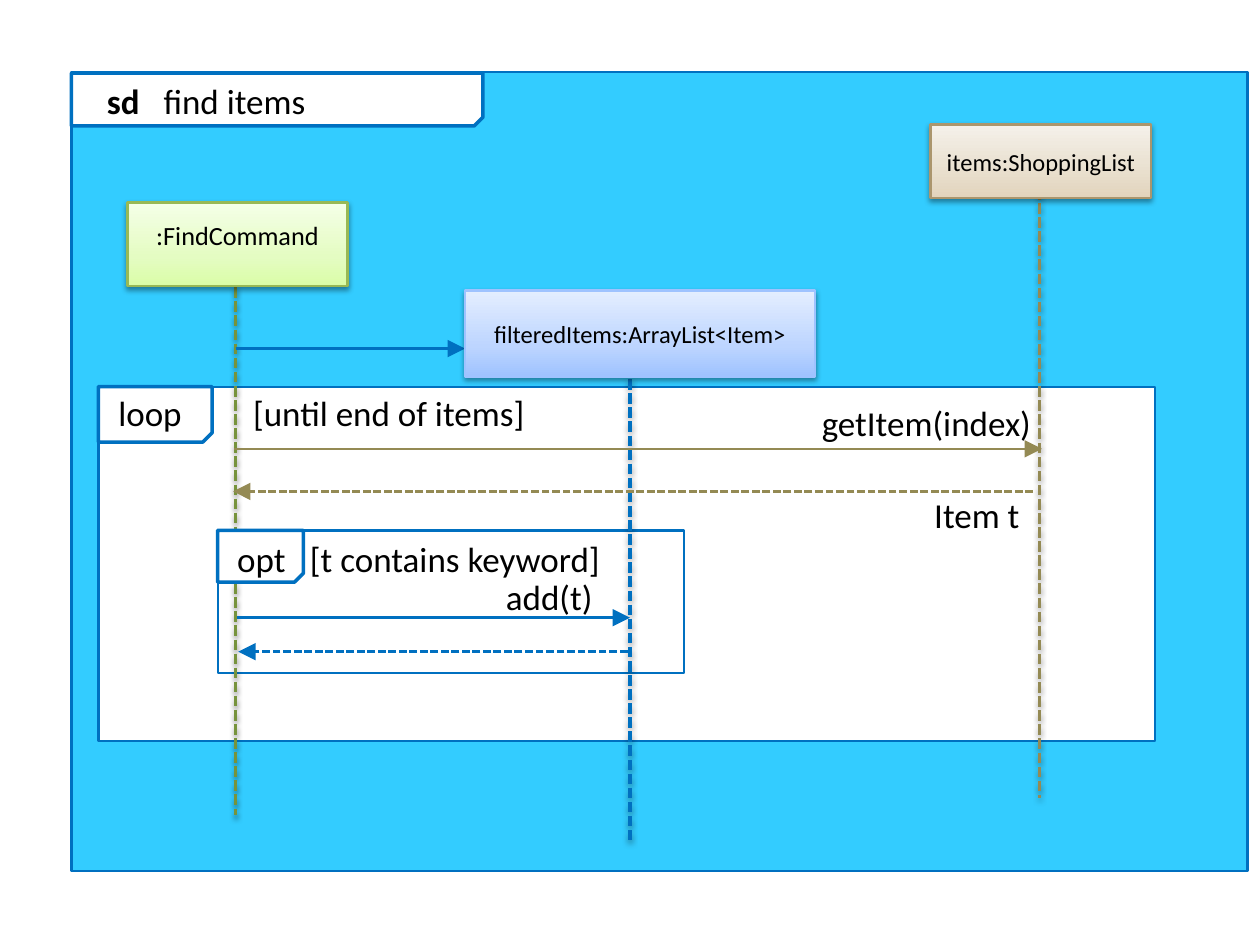
from lxml import etree
from pptx import Presentation
from pptx import util as u
from pptx.dml import color
from pptx.enum import dml, shapes, text
from pptx.oxml import ns

Pt = u.Pt
BLUE, TAN, OLIVE = "0070C0", "948A54", "77933C"
RECT, TAB = shapes.MSO_SHAPE.RECTANGLE, shapes.MSO_SHAPE.SNIP_1_RECTANGLE


def rgb(h):
    return color.RGBColor.from_string(h)


def add_shadow(fx):
    shd = etree.SubElement(fx, ns.qn("a:outerShdw"), blurRad="40000", dist="20000",
                           dir="5400000", rotWithShape="0")
    clr = etree.SubElement(shd, ns.qn("a:srgbClr"), val="000000")
    etree.SubElement(clr, ns.qn("a:alpha"), val="38000")


prs = Presentation()
prs.slide_width, prs.slide_height = Pt(720), Pt(540)
s = prs.slides.add_slide(prs.slide_layouts[6])

frames = [
    (RECT, 41, 41.2, 671.8, 456.5, "33CCFF"),
    (RECT, 56.2, 221.2, 603.8, 202.3, "FFFFFF"),
    (RECT, 124.6, 303.2, 266.2, 81.4, "FFFFFF"),
    (TAB, 40.8, 41.8, 235.2, 30.2, "FFFFFF"),
    (TAB, 56.2, 221, 65, 31.7, "FFFFFF"),
    (TAB, 124.3, 303.1, 49, 29.5, "FFFFFF"),
]
for kind, x, y, w, h, fill in frames:
    sp = s.shapes.add_shape(kind, Pt(x), Pt(y), Pt(w), Pt(h))
    sp.shadow.inherit = False
    sp.fill.solid()
    sp.fill.fore_color.rgb = rgb(fill)
    sp.line.color.rgb = rgb(BLUE)
    sp.line.width = Pt(2 if kind == TAB else 1.5)
    if kind == TAB:
        sp._element.spPr.xfrm.set("flipV", "1")
opt_tab = sp

lines = [
    (134.6, 164.2, 134.6, 465.8, OLIVE, True),
    (360, 216.7, 360, 480.2, BLUE, True),
    (594, 108, 594, 455.8, TAN, True),
    (134.6, 199.2, 265.7, 199.2, BLUE, False),
    (134, 256.5, 595.4, 256.5, TAN, False),
    (590.4, 280.8, 133.2, 280.8, TAN, True),
    (135.4, 353, 360, 353, BLUE, False),
    (358.6, 372.4, 136.1, 372.4, BLUE, True),
]
for x1, y1, x2, y2, c, dashed in lines:
    cn = s.shapes.add_connector(shapes.MSO_CONNECTOR.STRAIGHT, Pt(x1), Pt(y1), Pt(x2), Pt(y2))
    lifeline = x1 == x2
    cn.line.color.rgb = rgb(c)
    cn.line.width = Pt(2 if lifeline else 1.5)
    if dashed:
        cn.line.dash_style = dml.MSO_LINE.SQUARE_DOT
    pr = cn._element.spPr
    fx = etree.SubElement(pr, ns.qn("a:effectLst"))
    if lifeline:
        add_shadow(fx)
    else:
        etree.SubElement(pr.find(ns.qn("a:ln")), ns.qn("a:tailEnd"),
                         type="triangle", w="lg", len="lg")
cn._element.addnext(opt_tab._element)

participants = [
    (":FindCommand", 72.7, 115.9, 126, 47.5, 15, "98B955",
     [(0, "DAFDA7"), (35, "E4FCC2"), (100, "F5FFE7")]),
    ("items:ShoppingList", 531.9, 71.3, 125.8, 41.8, 14, "AB966D",
     [(0, "E2D4BC"), (50, "EBE3D4"), (100, "F5F1EA")]),
    ("filteredItems:ArrayList<Item>", 265.7, 166.1, 200, 49, 14, "9FC3FF",
     [(0, "9FC3FF"), (35, "BDD5FF"), (100, "E4EEFF")]),
]
for label, x, y, w, h, size, edge, stops in participants:
    sp = s.shapes.add_shape(RECT, Pt(x), Pt(y), Pt(w), Pt(h))
    sp.fill.gradient()
    sp.fill.gradient_angle = 90
    gs_lst = sp._element.spPr.find(".//" + ns.qn("a:gsLst"))
    gs_lst.clear()
    for pos, c in stops:
        gs = etree.SubElement(gs_lst, ns.qn("a:gs"), pos=str(pos * 1000))
        etree.SubElement(gs, ns.qn("a:srgbClr"), val=c)
    sp.line.color.rgb = rgb(edge)
    sp.line.width = Pt(1.5)
    sp.shadow.inherit = False
    add_shadow(sp._element.spPr.find(ns.qn("a:effectLst")))
    tf = sp.text_frame
    tf.text = label
    tf.word_wrap = True
    tf.vertical_anchor = text.MSO_ANCHOR.MIDDLE
    if label == ":FindCommand":
        tf.margin_bottom = Pt(14.2)
    p = tf.paragraphs[0]
    p.alignment = text.PP_ALIGN.CENTER
    f = p.runs[0].font
    f.name, f.size, f.color.rgb = "Calibri", Pt(size), rgb("000000")

labels = [
    ("sd", 54, 42.5, 40),
    ("find items", 86.4, 42.5, 130),
    ("loop", 60.5, 220.6, 60),
    ("[until end of items]", 137.5, 220.6, 190),
    ("getItem(index)", 462.5, 226.1, 136.1),
    ("Item t", 526.8, 279, 67.7),
    ("opt", 128.4, 304.2, 50),
    ("[t contains keyword]", 170, 304.2, 195),
    ("add(t)", 282, 325.8, 64.8),
]
for label, x, y, w in labels:
    sp = s.shapes.add_textbox(Pt(x), Pt(y), Pt(w), Pt(30.2))
    tf = sp.text_frame
    tf.text = label
    tf.word_wrap = True
    tf.vertical_anchor = text.MSO_ANCHOR.MIDDLE
    f = tf.paragraphs[0].runs[0].font
    f.name, f.size, f.bold, f.color.rgb = "Calibri", Pt(20), label == "sd", rgb("000000")

prs.save("out.pptx")
